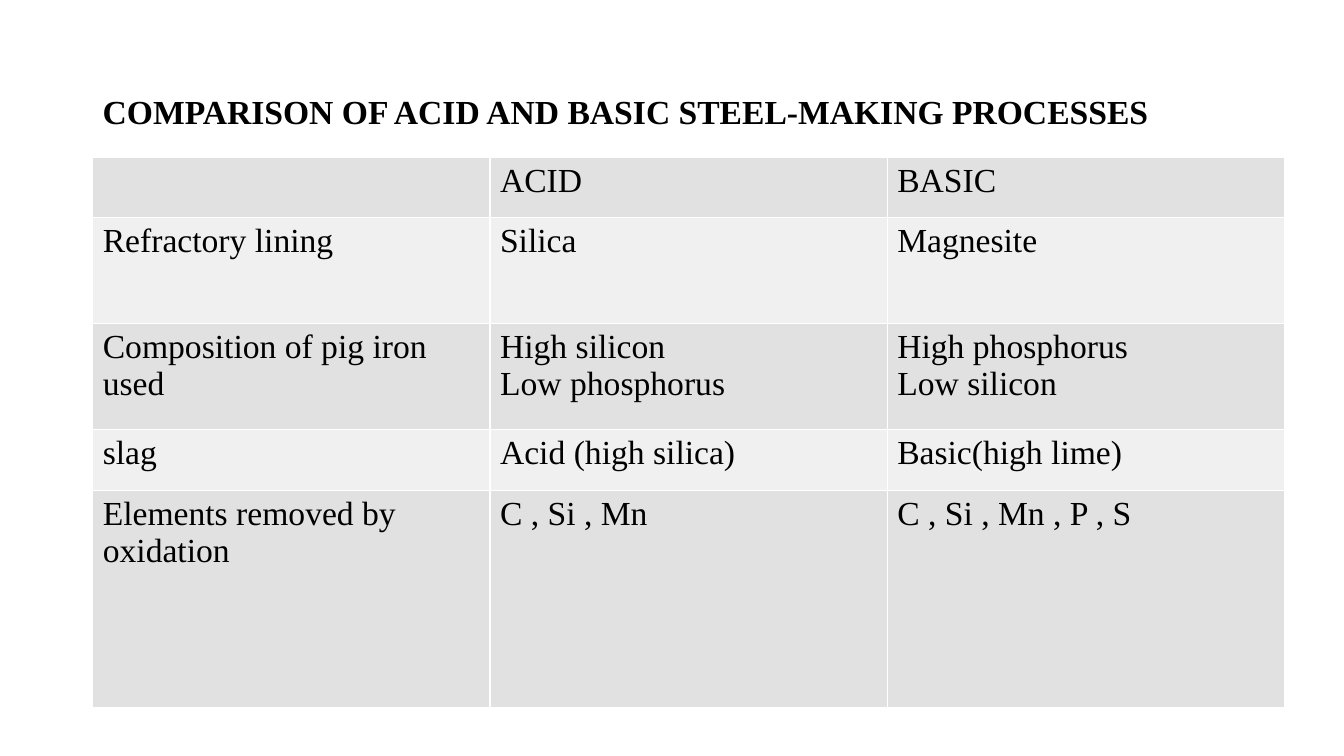
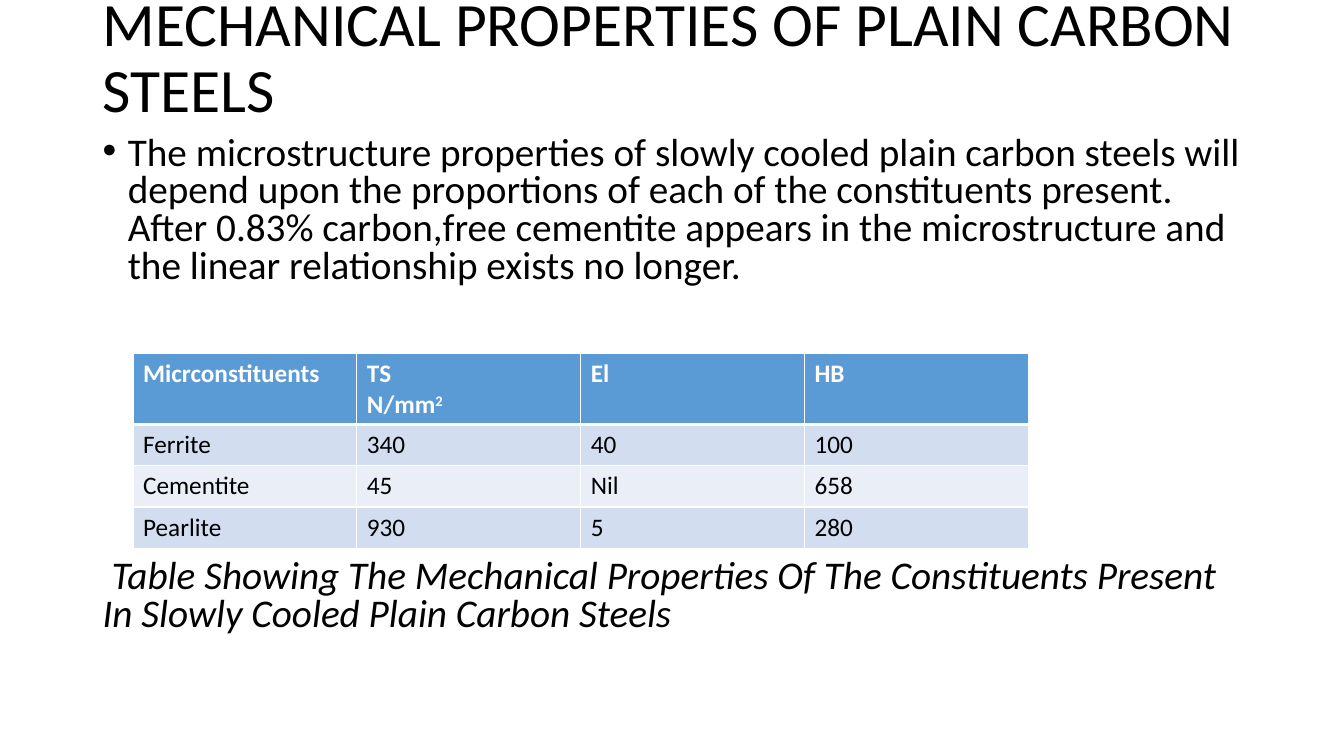
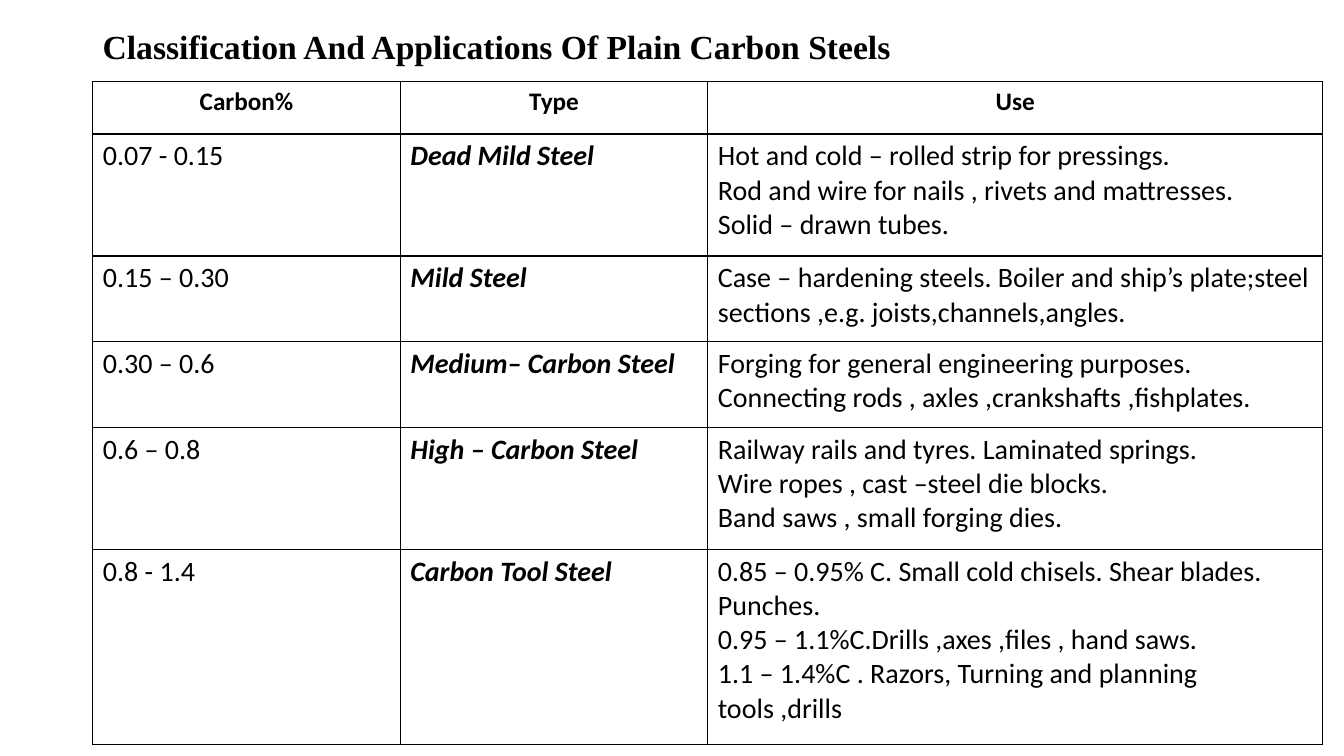
from lxml.etree import SubElement
from pptx import Presentation
from pptx.dml.color import RGBColor
from pptx.enum.text import MSO_ANCHOR, PP_ALIGN
from pptx.oxml.ns import qn
from pptx.util import Inches, Pt

COLORS = {"black": "000000", "white": "FFFFFF", "blue": "5B9BD5",
          "blue band": "D2DEEF", "blue pale": "EAEFF7",
          "grey band": "E1E1E1", "grey pale": "F0F0F0"}
LEFT, WIDTH = 0.92, 11.5
SERIF = {"name": "Times New Roman", "size": Pt(24)}
SANS = {"name": "Calibri", "size": Pt(18)}
TITLE = {**SERIF, "bold": True}
BODY = {**SANS, "size": Pt(28)}
HEAD = {**SANS, "bold": True}
USE = {**SANS, "size": Pt(20)}
TYPE = {**USE, "bold": True, "italic": True}


def write(tf, text, fmt, color="black", align=PP_ALIGN.LEFT, spacing=1.0):
    """Fill a frame: a newline starts a paragraph, ^ starts a superscript."""
    tf.word_wrap = True
    for i, line in enumerate(text.split("\n")):
        p = tf.paragraphs[0] if i == 0 else tf.add_paragraph()
        p.alignment, p.line_spacing = align, spacing
        for j, part in enumerate(line.split("^")):
            r = p.add_run()
            r.text = part
            for key, value in fmt.items():
                setattr(r.font, key, value)
            r.font.color.rgb = RGBColor.from_string(COLORS[color])
            if j:
                r.font._element.set("baseline", "30000")


def add_grid(s, left, top, cols, rows, border, fills, head_line=1):
    """Add a table with ruled cells; fills holds one colour name per row."""
    tbl = s.shapes.add_table(len(rows), len(cols), Inches(left), Inches(top),
                             Inches(sum(cols)), Inches(sum(rows))).table
    tbl.first_row = tbl.horz_banding = False
    for col, width in zip(tbl.columns, cols):
        col.width = Inches(width)
    for i, (row, height) in enumerate(zip(tbl.rows, rows)):
        row.height = Inches(height)
        for cell in row.cells:
            tcPr = cell._tc.get_or_add_tcPr()
            for side in "LRTB":
                under_head = (i, side) in ((0, "B"), (1, "T"))
                ln = SubElement(tcPr, qn(f"a:ln{side}"),
                                w=str(Pt(head_line if under_head else 1)))
                fill = SubElement(ln, qn("a:solidFill"))
                SubElement(fill, qn("a:srgbClr"), val=COLORS[border])
            if fills:
                cell.fill.solid()
                cell.fill.fore_color.rgb = RGBColor.from_string(COLORS[fills[i]])
            else:
                cell.fill.background()
    return tbl


prs = Presentation()
prs.slide_width, prs.slide_height = Inches(13.33), Inches(7.5)

# Slides with their titles: text, top, height, format
titles = [
    ("COMPARISON OF ACID AND BASIC STEEL-MAKING PROCESSES", 0.4, 1.45, TITLE),
    ("MECHANICAL PROPERTIES OF PLAIN CARBON STEELS", -0.12, 1.42,
     {**SANS, "size": Pt(44)}),
    ("Classification And Applications Of Plain Carbon Steels", 0.13, 0.7, TITLE),
]
slides = []
for text, top, height, fmt in titles:
    s = prs.slides.add_slide(prs.slide_layouts[6])
    tf = s.shapes.add_textbox(Inches(LEFT), Inches(top),
                              Inches(WIDTH), Inches(height)).text_frame
    tf.vertical_anchor = MSO_ANCHOR.MIDDLE
    write(tf, text, fmt, spacing=0.9)
    slides.append(s)
comparison, properties, applications = slides

# Acid and basic processes
processes = [
    ("", "ACID", "BASIC"),
    ("Refractory lining", "Silica", "Magnesite"),
    ("Composition of pig iron used", "High silicon\nLow phosphorus",
     "High phosphorus\nLow silicon"),
    ("slag", "Acid (high silica)", "Basic(high lime)"),
    ("Elements removed by oxidation", "C , Si , Mn", "C , Si , Mn , P , S"),
]
bands = ["grey pale" if i % 2 else "grey band" for i in range(len(processes))]
tbl = add_grid(comparison, LEFT, 1.56, [3.94] * 3, [0.6, 1.05, 1.05, 0.61, 2.15],
               "white", bands)
for i, row in enumerate(processes):
    for j, text in enumerate(row):
        write(tbl.cell(i, j).text_frame, text, SERIF)

# Mechanical properties: bulleted text above the table, caption below it
body = [
    ("The microstructure properties of slowly cooled plain carbon steels will "
     "depend upon the proportions of each of the constituents present. "
     "After 0.83% carbon,free cementite appears in the microstructure and "
     "the linear relationship exists no longer.", 1.3, 2.0, BODY, 0.25, -0.25, "•"),
    ("Table Showing The Mechanical Properties Of The Constituents Present "
     "In Slowly Cooled Plain Carbon Steels", 5.5, 1.26,
     {**BODY, "italic": True}, 0, 0.09, None),
]
for text, top, height, fmt, margin, indent, bullet in body:
    tf = properties.shapes.add_textbox(Inches(LEFT), Inches(top),
                                       Inches(WIDTH), Inches(height)).text_frame
    write(tf, text, fmt, spacing=0.8)
    pPr = tf.paragraphs[0]._p.get_or_add_pPr()
    pPr.set("marL", str(Inches(margin)))
    pPr.set("indent", str(Inches(indent)))
    if bullet:
        SubElement(pPr, qn("a:buFont"), typeface="Arial")
        SubElement(pPr, qn("a:buChar"), char=bullet)

constituents = [
    ("Micrconstituents", "TS\nN/mm^2", "El", "HB"),
    ("Ferrite", "340", "40", "100"),
    ("Cementite", "45", "Nil", "658"),
    ("Pearlite", "930", "5", "280"),
]
tbl = add_grid(properties, 1.32, 3.51, [2.22] * 4, [0.7] + [0.41] * 3, "white",
               ["blue", "blue band", "blue pale", "blue band"], head_line=3)
for i, row in enumerate(constituents):
    for j, text in enumerate(row):
        fmt, color = (SANS, "black") if i else (HEAD, "white")
        write(tbl.cell(i, j).text_frame, text, fmt, color)

# Steel types and their uses
steels = [
    ("Carbon%", "Type", "Use"),
    ("0.07 - 0.15", "Dead Mild Steel",
     "Hot and cold – rolled strip for pressings.\n"
     "Rod and wire for nails , rivets and mattresses.\nSolid – drawn tubes."),
    ("0.15 – 0.30", "Mild Steel",
     "Case – hardening steels. Boiler and ship’s plate;steel sections "
     ",e.g. joists,channels,angles."),
    ("0.30 – 0.6", "Medium– Carbon Steel",
     "Forging for general engineering purposes.\n"
     "Connecting rods , axles ,crankshafts ,fishplates."),
    ("0.6 – 0.8", "High – Carbon Steel",
     "Railway rails and tyres. Laminated springs.\n"
     "Wire ropes , cast –steel die blocks.\nBand saws , small forging dies."),
    ("0.8 - 1.4", "Carbon Tool Steel",
     "0.85 – 0.95% C. Small cold chisels. Shear blades. Punches.\n"
     "0.95 – 1.1%C.Drills ,axes ,files , hand saws.\n"
     "1.1 – 1.4%C . Razors, Turning and planning tools ,drills"),
]
tbl = add_grid(applications, LEFT, 0.81, [3.05, 3.05, 6.1],
               [0.52, 1.21, 0.85, 0.85, 1.21, 1.94], "black", None)
for i, row in enumerate(steels):
    for j, (text, fmt) in enumerate(zip(row, (USE, TYPE, USE))):
        tf = tbl.cell(i, j).text_frame
        if i == 0:
            write(tf, text, HEAD, align=PP_ALIGN.CENTER)
        else:
            write(tf, text, fmt)

prs.save("out.pptx")
